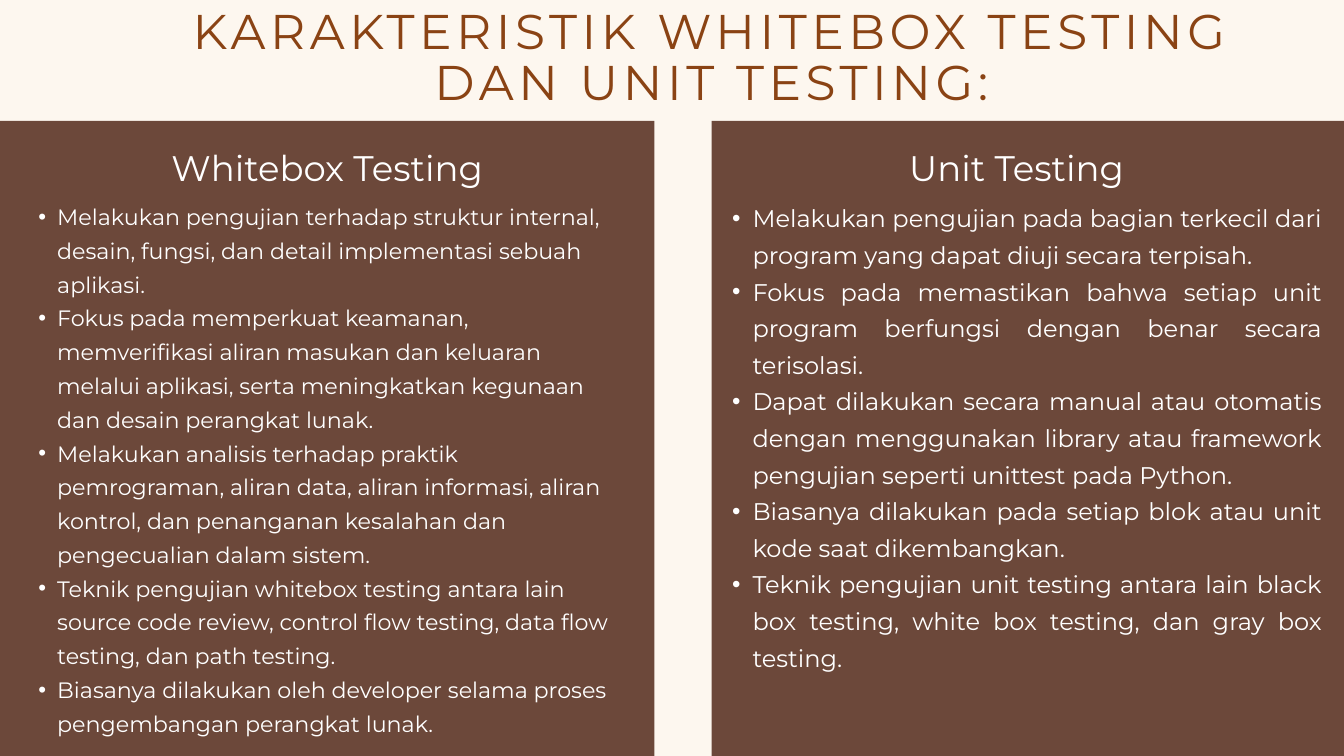
"""Build a slide comparing the characteristics of whitebox testing and unit testing."""
from lxml.etree import SubElement
from pptx import Presentation
from pptx.dml.color import RGBColor
from pptx.enum.shapes import MSO_SHAPE as Shape
from pptx.enum.text import MSO_ANCHOR as Anchor, MSO_AUTO_SIZE as AutoSize, PP_ALIGN as Align
from pptx.oxml.ns import qn
from pptx.util import Pt

CREAM = RGBColor(0xFD, 0xF7, 0xEF)
BROWN = RGBColor(0x6C, 0x48, 0x3A)
RUST = RGBColor(0x8A, 0x43, 0x14)
WHITE = RGBColor(0xFF, 0xFF, 0xFF)

PANEL_TOP, PANEL_WIDTH, PANEL_HEIGHT = 129.6, 917.3, 680.4
HEADING_TOP, LIST_TOP = 149, 210.2

COLUMNS = [
    {
        "heading": "Whitebox Testing",
        "panel_left": -216,
        "heading_left": 177.1,
        "list_left": 20.9,
        "list_width": 635,
        "list_height": 611.3,
        "size": 23.8,
        "line": 36.2,
        "indent": 20.2,
        "align": Align.LEFT,
        "points": [
            "Melakukan pengujian terhadap struktur internal, desain, fungsi, dan detail implementasi sebuah aplikasi.",
            "Fokus pada memperkuat keamanan, memverifikasi aliran masukan dan keluaran melalui aplikasi, "
            "serta meningkatkan kegunaan dan desain perangkat lunak.",
            "Melakukan analisis terhadap praktik pemrograman, aliran data, aliran informasi, aliran kontrol, "
            "dan penanganan kesalahan dan pengecualian dalam sistem.",
            "Teknik pengujian whitebox testing antara lain source code review, control flow testing, "
            "data flow testing, dan path testing.",
            "Biasanya dilakukan oleh developer selama proses pengembangan perangkat lunak.",
        ],
    },
    {
        "heading": "Unit Testing",
        "panel_left": 762.5,
        "heading_left": 915.8,
        "list_left": 762.5,
        "list_width": 653.8,
        "list_height": 544.3,
        "size": 25.8,
        "line": 39.2,
        "indent": 21.9,
        "align": Align.JUSTIFY,
        "points": [
            "Melakukan pengujian pada bagian terkecil dari program yang dapat diuji secara terpisah.",
            "Fokus pada memastikan bahwa setiap unit program berfungsi dengan benar secara terisolasi.",
            "Dapat dilakukan secara manual atau otomatis dengan menggunakan library atau framework "
            "pengujian seperti unittest pada Python.",
            "Biasanya dilakukan pada setiap blok atau unit kode saat dikembangkan.",
            "Teknik pengujian unit testing antara lain black box testing, white box testing, dan gray box testing.",
        ],
    },
]


def write_text(box, lines, size, line, color=WHITE, align=Align.CENTER, indent=0, tracking=0):
    frame = box.text_frame
    frame_format = {
        "margin_left": 0, "margin_top": 0, "margin_right": 0, "margin_bottom": 0,
        "word_wrap": True, "auto_size": AutoSize.NONE, "vertical_anchor": Anchor.TOP,
    }
    for name, value in frame_format.items():
        setattr(frame, name, value)
    for index, text in enumerate(lines):
        para = frame.add_paragraph() if index else frame.paragraphs[0]
        para.alignment = align
        para.line_spacing = Pt(line)
        if indent:
            para.level = 1
            properties = para._p.get_or_add_pPr()
            properties.set("marL", str(Pt(2 * indent)))
            properties.set("indent", str(-Pt(indent)))
            SubElement(properties, qn("a:buFont")).set("typeface", "Arial")
            SubElement(properties, qn("a:buChar")).set("char", "•")
        span = para.add_run()
        span.text = text
        for name, value in {"name": "Montserrat", "size": Pt(size)}.items():
            setattr(span.font, name, value)
        span.font.color.rgb = color
        if tracking:
            span.font._element.set("spc", str(round(tracking * 100)))


deck = Presentation()
deck.slide_width, deck.slide_height = Pt(1440), Pt(810)
slide = deck.slides.add_slide(deck.slide_layouts[5])
slide.background.fill.solid()
slide.background.fill.fore_color.rgb = CREAM

title = slide.shapes.title
title_place = {"left": 177.1, "top": 8.6, "width": 1170.7, "height": 111.6}
for name, value in title_place.items():
    setattr(title, name, Pt(value))
write_text(title, ["KARAKTERISTIK WHITEBOX TESTING DAN UNIT TESTING:"], 52.2, 54.9, RUST, tracking=4.9)

for column in COLUMNS:
    panel = slide.shapes.add_shape(
        Shape.RECTANGLE, Pt(column["panel_left"]), Pt(PANEL_TOP), Pt(PANEL_WIDTH), Pt(PANEL_HEIGHT))
    panel.shadow.inherit = False
    panel.fill.solid()
    panel.fill.fore_color.rgb = BROWN
    panel.line.fill.background()

    heading = slide.shapes.add_textbox(Pt(column["heading_left"]), Pt(HEADING_TOP), Pt(347), Pt(51.1))
    write_text(heading, [column["heading"]], 38, 53.2)

    points = slide.shapes.add_textbox(
        Pt(column["list_left"]), Pt(LIST_TOP), Pt(column["list_width"]), Pt(column["list_height"]))
    write_text(points, column["points"], column["size"], column["line"],
               align=column["align"], indent=column["indent"])

deck.save("out.pptx")
